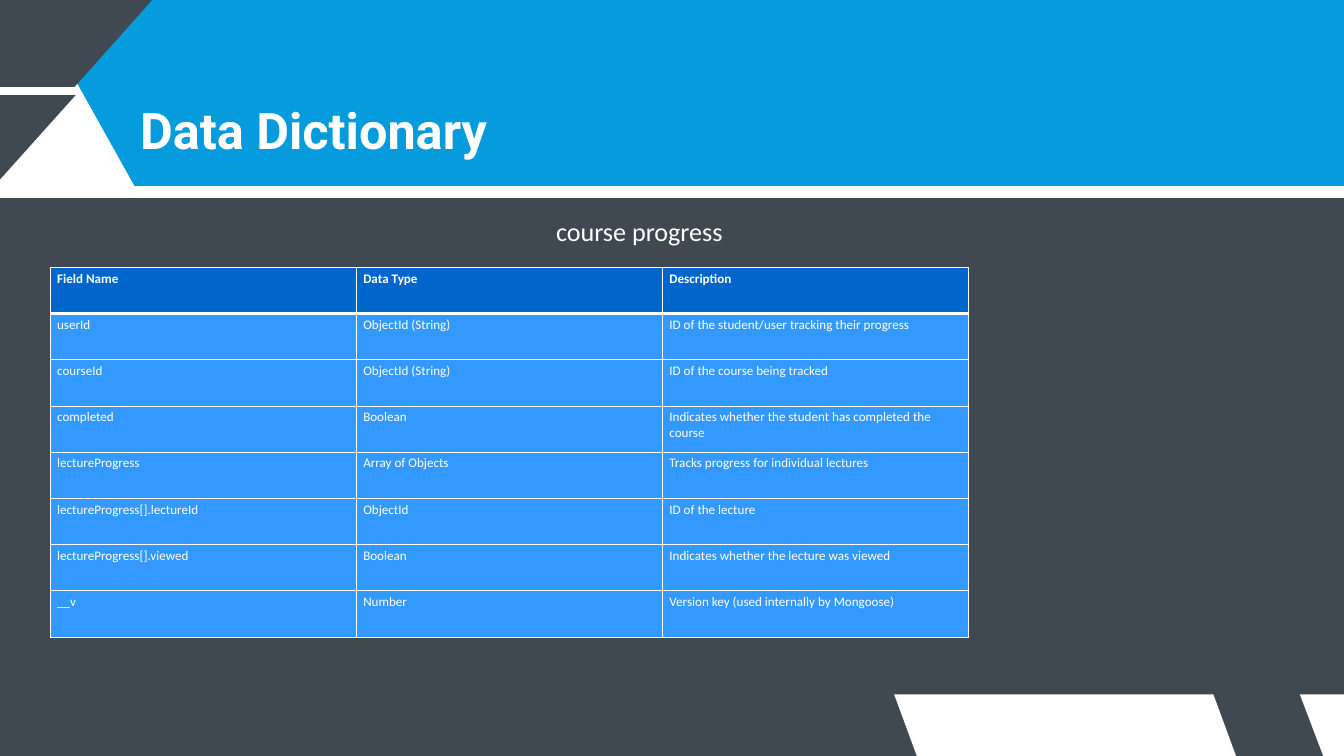
from dataclasses import dataclass

from lxml.etree import SubElement
from pptx import Presentation
from pptx.dml.color import RGBColor as Rgb
from pptx.enum.text import MSO_ANCHOR as Anchor, MSO_AUTO_SIZE as AutoSize, PP_ALIGN as Align
from pptx.oxml.ns import qn
from pptx.util import Pt


@dataclass(frozen=True)
class Theme:
    dark: str = "404952"
    sky: str = "059BDD"
    white: str = "FFFFFF"
    header_row: str = "0066CC"
    body_row: str = "3399FF"
    title_font: str = "Roboto"
    body_font: str = "Calibri"
    title_size: int = 54
    subtitle_size: int = 28
    table_size: int = 14


theme = Theme()


def style_text(para, name, size, bold=False):
    for span in para.runs:
        span.font.name = name
        span.font.size = Pt(size)
        span.font.bold = bold
        span.font.color.rgb = Rgb.from_string(theme.white)


def add_border(cell, side, width):
    """Draw one cell side (L, R, T or B); call before the cell is filled."""
    line = SubElement(cell._tc.get_or_add_tcPr(), qn(f"a:ln{side}"), w=str(Pt(width)))
    fill = SubElement(line, qn("a:solidFill"))
    SubElement(fill, qn("a:srgbClr"), val=theme.white)


deck = Presentation()
deck.slide_width, deck.slide_height = Pt(1440), Pt(810)
page = deck.slides.add_slide(deck.slide_layouts[5])

# Background bands: colour and corners, clockwise from top left
bands = [
    (theme.dark, [(-202, 212), (1469, 212), (1469, 840), (-202, 840)]),
    (theme.sky, [(24, -16), (1497, -16), (1617, 199), (144, 199)]),
    (theme.dark, [(-30, 0), (163, 0), (80, 93), (-113, 93)]),
    (theme.dark, [(-122, 102), (81, 102), (-6, 199), (-210, 199)]),
    (theme.white, [(1291, 744), (1564, 744), (1617, 868), (1344, 868)]),
    (theme.dark, [(1228, 711), (1380, 711), (1426, 832), (1274, 832)]),
    (theme.white, [(958, 744), (1300, 744), (1356, 896), (1014, 896)]),
]
for color, corners in bands:
    outline = page.shapes.build_freeform(*corners[0], scale=Pt(1))
    outline.add_line_segments(corners[1:], close=True)
    band = outline.convert_to_shape()
    band.shadow.inherit = False
    band.fill.solid()
    band.fill.fore_color.rgb = Rgb.from_string(color)
    band.line.fill.background()

# Title, brought in front of the bands
title = page.shapes.title
title.element.getparent().append(title.element)
title.left, title.top, title.width, title.height = Pt(150), Pt(94.3), Pt(605), Pt(152.6)
frame = title.text_frame
frame.text = "Data Dictionary"
frame.margin_left = frame.margin_top = frame.margin_right = frame.margin_bottom = 0
frame.vertical_anchor = Anchor.TOP
frame.auto_size = AutoSize.NONE
para = frame.paragraphs[0]
para.alignment = Align.LEFT
para.line_spacing = Pt(77)
style_text(para, theme.title_font, theme.title_size, bold=True)

# Collection name
box = page.shapes.add_textbox(Pt(504), Pt(227.5), Pt(362), Pt(41))
box.text_frame.word_wrap = True
box.text_frame.text = "course progress"
para = box.text_frame.paragraphs[0]
para.alignment = Align.CENTER
style_text(para, theme.body_font, theme.subtitle_size)

# Field table
fields = [
    ("Field Name", "Data Type", "Description"),
    ("userId", "ObjectId (String)", "ID of the student/user tracking their progress"),
    ("courseId", "ObjectId (String)", "ID of the course being tracked"),
    ("completed", "Boolean", "Indicates whether the student has completed the course"),
    ("lectureProgress", "Array of Objects", "Tracks progress for individual lectures"),
    ("lectureProgress[].lectureId", "ObjectId", "ID of the lecture"),
    ("lectureProgress[].viewed", "Boolean", "Indicates whether the lecture was viewed"),
    ("__v", "Number", "Version key (used internally by Mongoose)"),
]
table = page.shapes.add_table(
    len(fields), 3, Pt(54), Pt(286.5), Pt(984), Pt(396)
).table
for row, values in enumerate(fields):
    is_header = row == 0
    for column, value in enumerate(values):
        cell = table.cell(row, column)
        cell.text = value
        style_text(cell.text_frame.paragraphs[0], theme.body_font, theme.table_size, is_header)
        add_border(cell, "L", 1)
        add_border(cell, "R", 1)
        add_border(cell, "T", 3 if row == 1 else 1)
        add_border(cell, "B", 3 if is_header else 1)
        cell.fill.solid()
        cell.fill.fore_color.rgb = Rgb.from_string(
            theme.header_row if is_header else theme.body_row
        )

deck.save("out.pptx")
